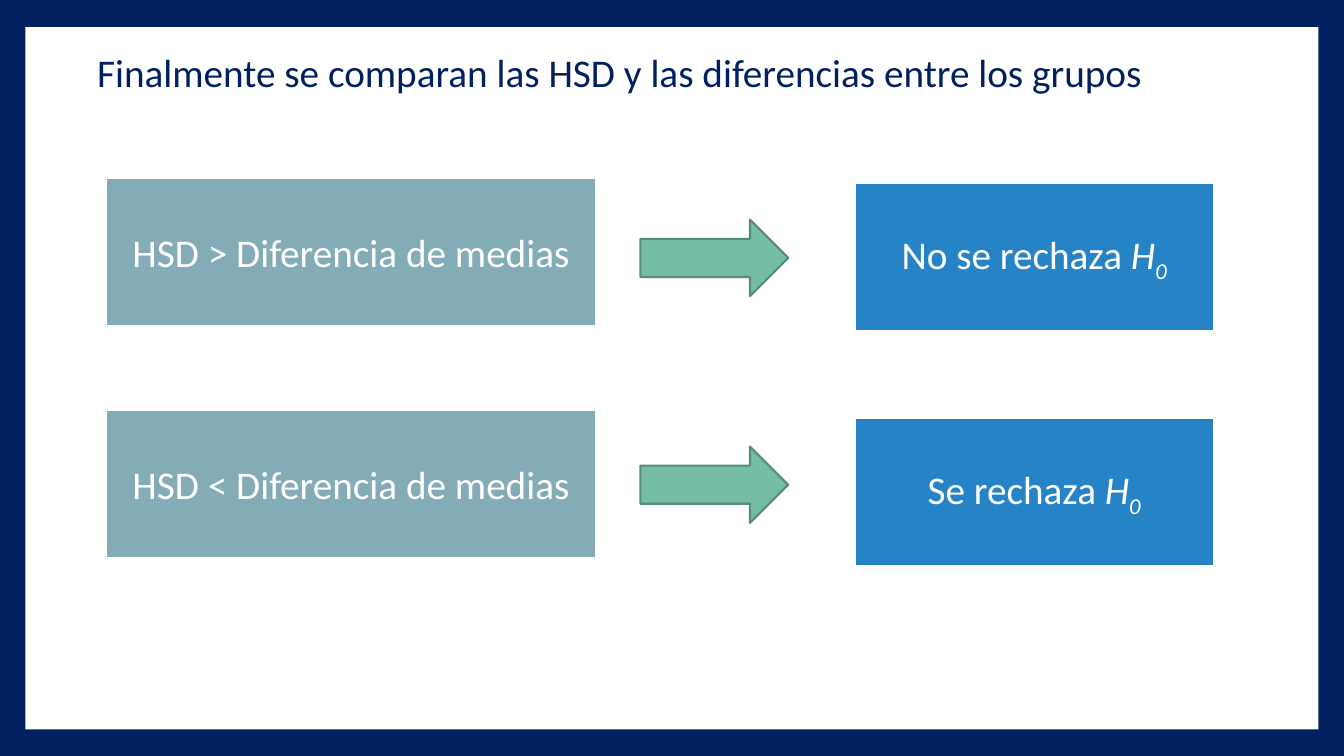
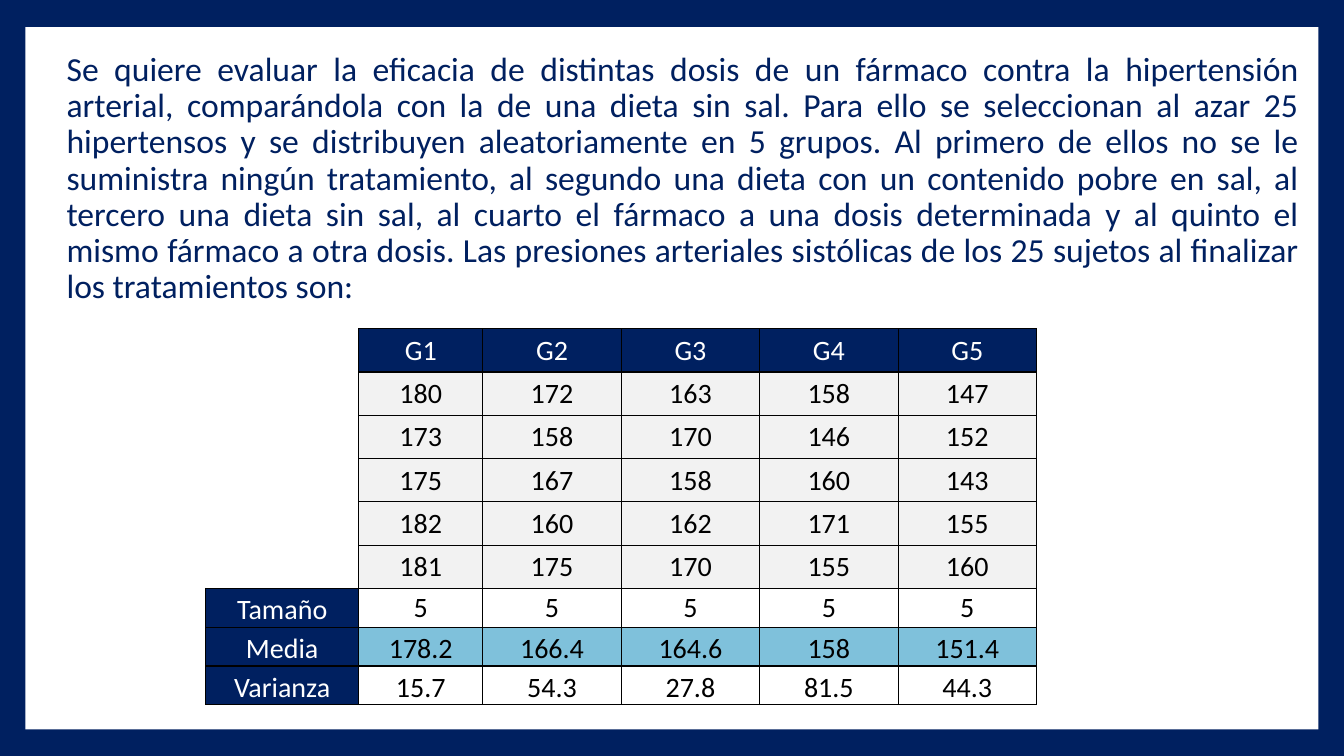
from lxml import etree
from pptx import Presentation
from pptx import util as u
from pptx.dml.color import RGBColor
from pptx.enum import shapes, text
from pptx.oxml import ns

NAVY = RGBColor(0x00, 0x20, 0x60)
WHITE = RGBColor(0xFF, 0xFF, 0xFF)
BLACK = RGBColor(0x00, 0x00, 0x00)
SAGE = RGBColor(0x84, 0xAC, 0xB6)
BLUE = RGBColor(0x26, 0x83, 0xC6)
GREEN = RGBColor(0x75, 0xBD, 0xA7)
PINE = RGBColor(0x57, 0x8C, 0x7C)
GREY = RGBColor(0xF2, 0xF2, 0xF2)
SKY = RGBColor(0x7F, 0xC1, 0xDB)
FONT = "Calibri"
KIND = shapes.MSO_SHAPE
MID = text.MSO_ANCHOR.MIDDLE
LOW = text.MSO_ANCHOR.BOTTOM
CENTER = text.PP_ALIGN.CENTER

deck = Presentation()
deck.slide_width, deck.slide_height = u.Inches(13.33), u.Inches(7.5)
COL, ROW = deck.slide_width / 100, deck.slide_height / 100  # 1 % of the slide


def write(para, runs, size, color, align=CENTER):
    para.alignment = align
    for words, style in runs:
        run = para.add_run()
        run.text = words
        font = run.font
        font.name, font.size, font.color.rgb = FONT, u.Pt(size), color
        if style:
            font.italic = True
        if style == "sub":
            run._r.get_or_add_rPr().set("baseline", "-25000")


def draw(slide, kind, x, y, w, h, fill, line=None, width=0):
    shape = slide.shapes.add_shape(
        kind, int(x * COL), int(y * ROW), int(w * COL), int(h * ROW))
    shape.shadow.inherit = False
    shape.fill.solid()
    shape.fill.fore_color.rgb = fill
    if line is None:
        shape.line.fill.background()
    else:
        shape.line.color.rgb = line
        shape.line.width = u.Pt(width)
    return shape


# Shared frame: navy ground, white panel, lead text
back = deck.slide_master.background.fill
back.solid()
back.fore_color.rgb = NAVY

LEADS = [
    (6.1, 6.4, 81.8, 14.1, 28,
     "Finalmente se comparan las HSD y las diferencias entre los grupos"),
    (3.83, 6.27, 93.55, 35.2, 24,
     "Se quiere evaluar la eficacia de distintas dosis de un fármaco contra "
     "la hipertensión arterial, comparándola con la de una dieta sin sal. "
     "Para ello se seleccionan al azar 25 hipertensos y se distribuyen "
     "aleatoriamente en 5 grupos. Al primero de ellos no se le suministra "
     "ningún tratamiento, al segundo una dieta con un contenido pobre en sal, "
     "al tercero una dieta sin sal, al cuarto el fármaco a una dosis "
     "determinada y al quinto el mismo fármaco a otra dosis. Las presiones "
     "arteriales sistólicas de los 25 sujetos al finalizar los tratamientos "
     "son:"),
]
pages = []
for x, y, w, h, size, words in LEADS:
    page = deck.slides.add_slide(deck.slide_layouts[6])
    draw(page, KIND.RECTANGLE, 1.9, 3.6, 96.2, 92.9, WHITE)
    frame = page.shapes.add_textbox(
        int(x * COL), int(y * ROW), int(w * COL), int(h * ROW)).text_frame
    frame.word_wrap = True
    frame.margin_left = u.Inches(0.15)
    para = frame.paragraphs[0]
    para.line_spacing = 0.9
    write(para, [(words, "")], size, NAVY, text.PP_ALIGN.JUSTIFY)
    pages.append(page)
rule, study = pages

# Decision rows: condition, arrow, result
RULES = [
    (23.3, 29.07, 24, ">", "No se rechaza "),
    (54, 59.07, 55.07, "<", "Se rechaza "),
]
for left, mid, right, sign, result in RULES:
    cards = [
        (7.73, left, 36.75, SAGE, [(f"HSD {sign} Diferencia de medias", "")]),
        (63.45, right, 27, BLUE, [(result, ""), ("H", "it"), ("0", "sub")]),
    ]
    for x, y, w, fill, runs in cards:
        card = draw(rule, KIND.RECTANGLE, x, y, w, 20.1, fill, WHITE, 4.25)
        card.text_frame.word_wrap = True
        card.text_frame.vertical_anchor = MID
        write(card.text_frame.paragraphs[0], runs, 28, WHITE)
    draw(rule, KIND.RIGHT_ARROW, 47.65, mid, 11, 10.1, GREEN, PINE, 1.5)

# Table of pressures by group
DATA = [
    ["", "G1", "G2", "G3", "G4", "G5"],
    ["", "180", "172", "163", "158", "147"],
    ["", "173", "158", "170", "146", "152"],
    ["", "175", "167", "158", "160", "143"],
    ["", "182", "160", "162", "171", "155"],
    ["", "181", "175", "170", "155", "160"],
    ["Tamaño", "5", "5", "5", "5", "5"],
    ["Media", "178.2", "166.4", "164.6", "158", "151.4"],
    ["Varianza", "15.7", "54.3", "27.8", "81.5", "44.3"],
]
FILLS = [NAVY] + [GREY] * 5 + [WHITE, SKY, WHITE]
WIDTHS = [11.4, 9.23] + [10.3] * 4
HEIGHTS = [5.73] * 6 + [5.13] * 3
table = study.shapes.add_table(
    len(DATA), len(WIDTHS), int(15.3 * COL), int(43.47 * ROW),
    int(sum(WIDTHS) * COL), int(sum(HEIGHTS) * ROW)).table
table.first_row = table.horz_banding = False
for col, w in zip(table.columns, WIDTHS):
    col.width = int(w * COL)
for row, h in zip(table.rows, HEIGHTS):
    row.height = int(h * ROW)

for r, line in enumerate(DATA):
    for c, words in enumerate(line):
        cell = table.cell(r, c)
        cell.margin_left = cell.margin_right = cell.margin_top = u.Inches(0.01)
        cell.margin_bottom = 0
        cell.vertical_anchor = LOW if r > 6 or (r == 6 and c == 0) else MID
        if words:
            dark = r == 0 or c == 0
            cell.fill.solid()
            cell.fill.fore_color.rgb = NAVY if dark else FILLS[r]
            write(cell.text_frame.paragraphs[0], [(words, "")], 20,
                  WHITE if dark else BLACK)
            sides = "LRTB"
        else:
            cell.fill.background()
            sides = "RB" if r == 5 else "R"
        # Cell borders come before the fill
        props = cell._tc.get_or_add_tcPr()
        for i, side in enumerate(sides):
            edge = etree.Element(ns.qn(f"a:ln{side}"), w=str(u.Pt(1)))
            paint = etree.SubElement(edge, ns.qn("a:solidFill"))
            etree.SubElement(paint, ns.qn("a:srgbClr"), val=str(BLACK))
            props.insert(i, edge)

deck.save("out.pptx")
